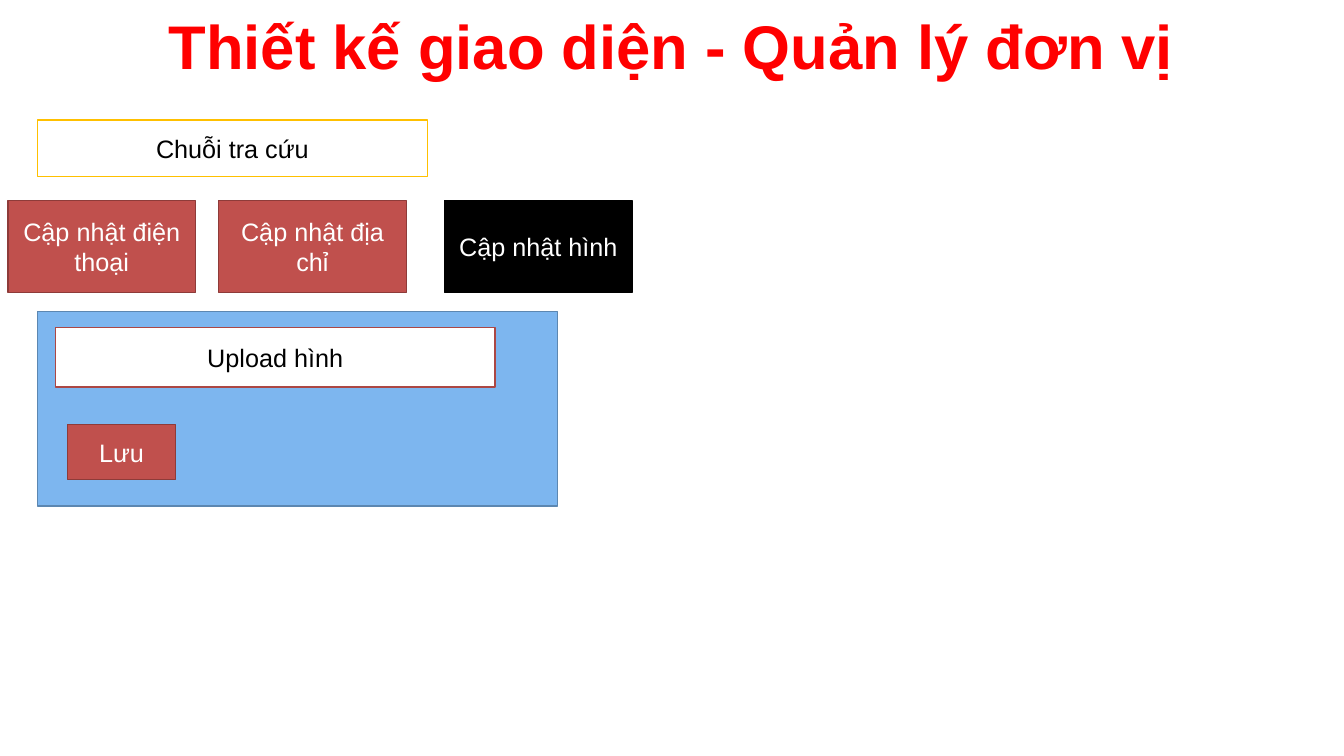
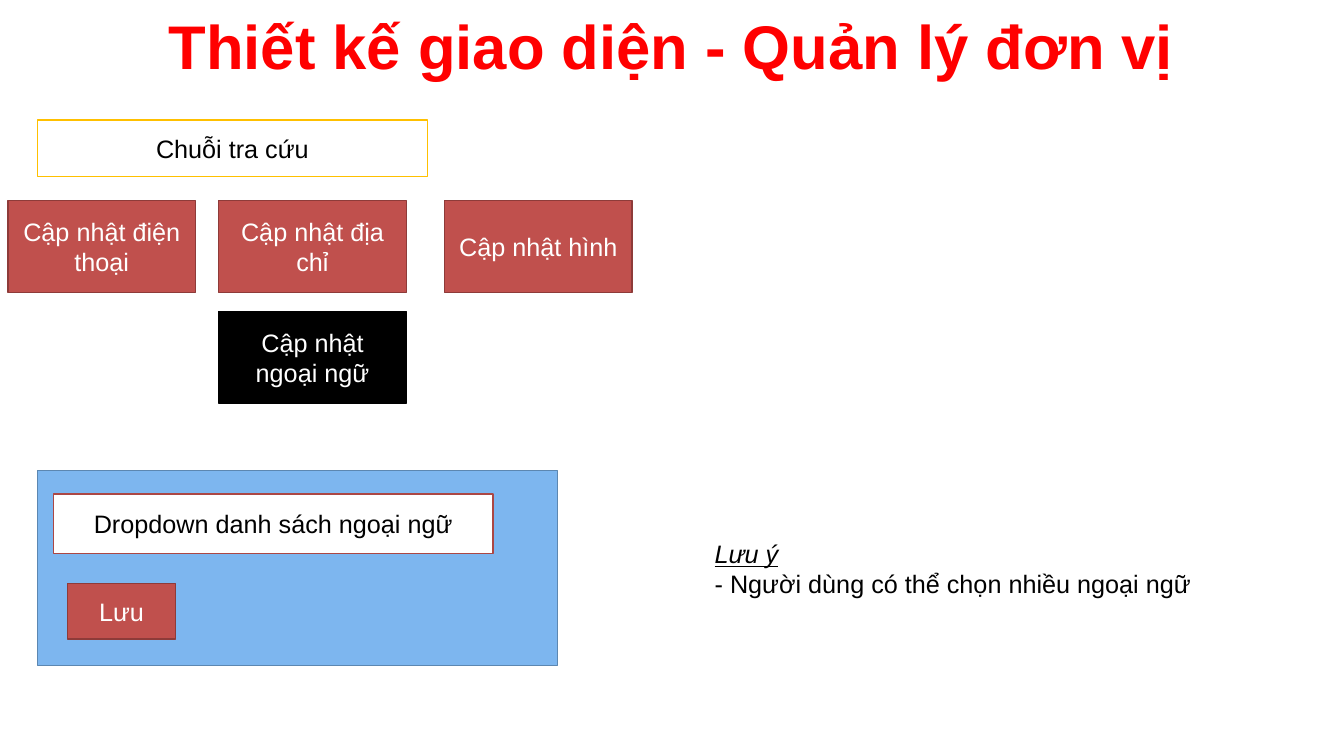
from pptx import Presentation
from pptx.dml.color import RGBColor
from pptx.enum.shapes import MSO_SHAPE
from pptx.enum.text import MSO_ANCHOR, PP_ALIGN
from pptx.util import Inches, Pt

TITLE = "Thiết kế giao diện - Quản lý đơn vị"
SEARCH = "Chuỗi tra cứu"
SAVE = "Lưu"
PHONE, PLACE, IMAGE, LANG = (
    "Cập nhật điện thoại", "Cập nhật địa chỉ", "Cập nhật hình", "Cập nhật ngoại ngữ")
NOTE = ["Lưu ý", "- Người dùng có thể chọn nhiều ngoại ngữ"]

PAGES = [
    dict(rows=[[PHONE, PLACE, IMAGE]], active=IMAGE, panel=3.09,
         field=("Upload hình", 0.18, 0.16), note=None),
    dict(rows=[[PHONE, PLACE, IMAGE], [None, LANG]], active=LANG, panel=4.67,
         field=("Dropdown danh sách ngoại ngữ", 0.16, 0.23), note=NOTE),
]

FONT = "Arial"
RED, BLACK, WHITE = "FF0000", "000000", "FFFFFF"
BUTTON = ("C0504D", "8E3B39", WHITE)
ACTIVE = (BLACK, BLACK, WHITE)
FINDER = (WHITE, "FFC000", BLACK)
FIELD = (WHITE, "AC4744", BLACK)
PANEL = ("7DB6EF", "5C87B1", BLACK)

WIDE, HIGH = 13.33, 7.5
LEFT = 0.37
COLS = [0.08, 2.17, 4.41]
TOP, STEP = 1.99, 1.1
CELL = (1.86, 0.91)


def color(code):
    return RGBColor.from_string(code)


def write(shape, lines, size, ink, align=PP_ALIGN.CENTER, bold=False):
    frame = shape.text_frame
    frame.word_wrap = True
    frame.text = "\n".join(lines)
    for para in frame.paragraphs:
        para.alignment = align
        for run in para.runs:
            font = run.font
            font.name, font.size, font.bold = FONT, Pt(size), bold
            font.color.rgb = color(ink)
    return frame


def box(slide, place, style, text=None):
    fill, line, ink = style
    shape = slide.shapes.add_shape(MSO_SHAPE.RECTANGLE, *map(Inches, place))
    shape.shadow.inherit = False
    shape.fill.solid()
    shape.fill.fore_color.rgb = color(fill)
    shape.line.color.rgb = color(line)
    shape.line.width = Pt(1)
    if text:
        write(shape, [text], 18, ink).vertical_anchor = MSO_ANCHOR.MIDDLE


def label(slide, place):
    return slide.shapes.add_textbox(*map(Inches, place))


def head(slide):
    shape = label(slide, ((WIDE - 12) / 2, -0.18, 12, 1.25))
    frame = write(shape, [TITLE], 44, RED, bold=True)
    frame.vertical_anchor = MSO_ANCHOR.MIDDLE
    box(slide, (LEFT, 1.19, 3.87, 0.56), FINDER, SEARCH)


def menu(slide, rows, active):
    for row, names in enumerate(rows):
        for left, name in zip(COLS, names):
            if name:
                style = ACTIVE if name == active else BUTTON
                box(slide, (left, TOP + row * STEP, *CELL), style, name)


def form(slide, top, field):
    text, right, down = field
    box(slide, (LEFT, top, 5.16, 1.93), PANEL)
    box(slide, (LEFT + right, top + down, 4.36, 0.59), FIELD, text)
    box(slide, (LEFT + 0.3, top + 1.12, 1.07, 0.55), BUTTON, SAVE)


def remark(slide, lines):
    frame = write(label(slide, (6.99, 5.29, 5.67, 0.71)), lines, 18, BLACK, PP_ALIGN.LEFT)
    font = frame.paragraphs[0].runs[0].font
    font.italic = font.underline = True


deck = Presentation()
deck.slide_width, deck.slide_height = Inches(WIDE), Inches(HIGH)
for page in PAGES:
    slide = deck.slides.add_slide(deck.slide_layouts[6])
    head(slide)
    menu(slide, page["rows"], page["active"])
    form(slide, page["panel"], page["field"])
    if page["note"]:
        remark(slide, page["note"])
deck.save("out.pptx")
